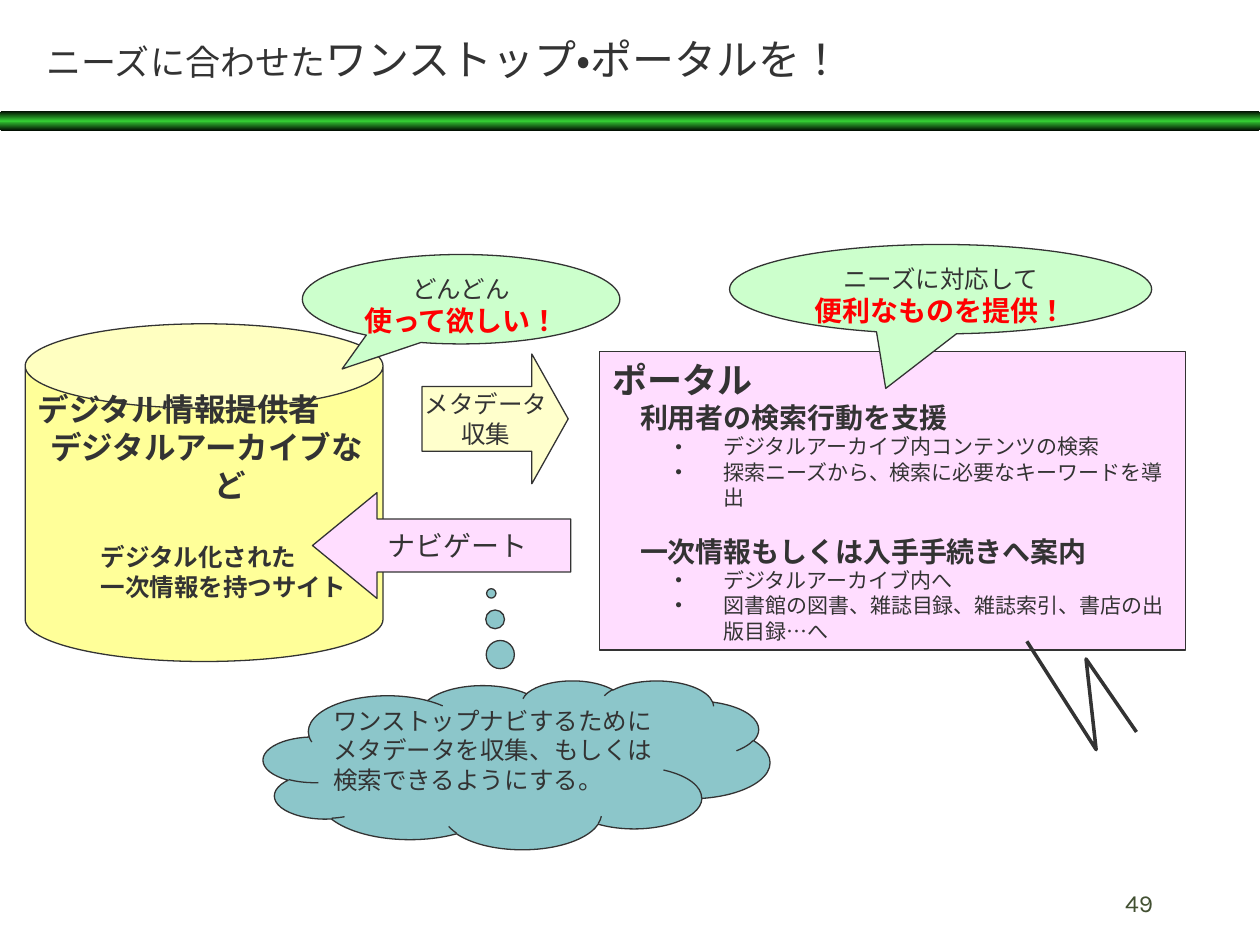
"""Build the one-stop portal slide: information provider, portal and the flows between them."""
from copy import deepcopy
from dataclasses import dataclass

from lxml.etree import SubElement
from pptx import Presentation
from pptx.dml.color import RGBColor
from pptx.enum.lang import MSO_LANGUAGE_ID as Lang
from pptx.enum.shapes import MSO_SHAPE as Preset
from pptx.enum.text import MSO_ANCHOR as Anchor, MSO_AUTO_SIZE as AutoSize, PP_ALIGN as Align
from pptx.oxml.ns import qn
from pptx.util import Inches, Pt


@dataclass(frozen=True)
class Theme:
    ink: str = "333333"
    number: str = "425032"
    alert: str = "FF0000"
    provider: str = "FFFF99"
    portal: str = "FFDDFF"
    collect: str = "FFFFCC"
    cloud: str = "8CC6CA"
    voice: str = "CCFFCC"
    bar_edge: str = "000800"
    bar_core: str = "33CC33"
    title_font: str = "Karla"
    body_font: str = "Arial"
    title: int = 24
    head: int = 20
    provider_head: int = 18
    strong: int = 16
    text: int = 14
    item: int = 12
    outline: float = 0.75
    zigzag: float = 2


THEME = Theme()


@dataclass(frozen=True)
class Run:
    text: str
    size: int = THEME.text
    bold: bool = False
    color: str = THEME.ink
    font: str = THEME.body_font


@dataclass(frozen=True)
class Para:
    runs: tuple[Run, ...]
    align: Align = Align.LEFT
    left: float = 0
    first: float = 0
    before: float = 0
    bullet: bool = False


@dataclass(frozen=True)
class Box:
    left: float
    top: float
    width: float
    height: float

    def emu(self) -> tuple[int, ...]:
        return tuple(Inches(v) for v in (self.left, self.top, self.width, self.height))


@dataclass(frozen=True)
class Figure:
    preset: Preset
    box: Box
    fill: str
    adjust: tuple[float, ...]
    paras: tuple[Para, ...] = ()
    anchor: Anchor = Anchor.MIDDLE
    wrap: bool = True
    inset: bool = True


def set_bullet(paragraph, shown: bool) -> None:
    """Give the paragraph a round bullet, or none."""
    props = paragraph._p.get_or_add_pPr()
    if not shown:
        SubElement(props, qn("a:buNone"))
        return
    SubElement(SubElement(props, qn("a:buClr")), qn("a:srgbClr"), val=THEME.ink)
    SubElement(props, qn("a:buSzPct"), val="90000")
    SubElement(props, qn("a:buChar"), char="•")


def write(frame, paras: tuple[Para, ...], anchor: Anchor, wrap: bool = True, inset: bool = True) -> None:
    """Fill a text frame with formatted paragraphs."""
    frame.auto_size, frame.word_wrap, frame.vertical_anchor = AutoSize.NONE, wrap, anchor
    frame.margin_left = frame.margin_right = Inches(0.1 if inset else 0)
    frame.margin_top = frame.margin_bottom = Inches(0.05 if inset else 0)
    for index, para in enumerate(paras):
        paragraph = frame.add_paragraph() if index else frame.paragraphs[0]
        paragraph.alignment = para.align
        paragraph.space_before = Pt(para.before)
        props = paragraph._p.get_or_add_pPr()
        props.set("marL", str(Inches(para.left)))
        props.set("indent", str(Inches(para.first)))
        set_bullet(paragraph, para.bullet)
        for part in para.runs:
            run = paragraph.add_run()
            run.text = part.text
            font = run.font
            font.name, font.size, font.bold = part.font, Pt(part.size), part.bold
            font.color.rgb = RGBColor.from_string(part.color)
            font.language_id = Lang.JAPANESE


def paint(shape, fill: str) -> None:
    """Give a shape its flat fill and thin outline."""
    shape.fill.solid()
    shape.fill.fore_color.rgb = RGBColor.from_string(fill)
    shape.line.color.rgb = RGBColor.from_string(THEME.ink)
    shape.line.width = Pt(THEME.outline)


def draw_figure(slide, figure: Figure) -> None:
    """Draw one outlined preset shape with its text."""
    shape = slide.shapes.add_shape(figure.preset, *figure.box.emu())
    shape.shadow.inherit = False
    for index, value in enumerate(figure.adjust):
        shape.adjustments[index] = value
    paint(shape, figure.fill)
    if figure.paras:
        write(shape.text_frame, figure.paras, figure.anchor, figure.wrap, figure.inset)


def draw_bar(slide) -> None:
    """Draw the gradient bar below the title."""
    bar = slide.shapes.add_shape(Preset.ROUNDED_RECTANGLE, *Box(0, 0.88, 10, 0.16).emu())
    bar.shadow.inherit = False
    bar.adjustments[0] = 0.16
    bar.line.fill.background()
    bar.fill.gradient()
    bar.fill.gradient_angle = 90
    stop_list = bar._element.spPr.find(qn("a:gradFill")).find(qn("a:gsLst"))
    stop_list.append(deepcopy(stop_list[0]))
    colors = (THEME.bar_edge, THEME.bar_core, THEME.bar_edge)
    for index, (stop, color) in enumerate(zip(bar.fill.gradient_stops, colors)):
        stop.position = index / 2
        stop.color.rgb = RGBColor.from_string(color)


def draw_zigzag(slide, points: tuple[tuple[float, float], ...]) -> None:
    """Draw the open zigzag line."""
    start, *rest = [(Inches(x), Inches(y)) for x, y in points]
    builder = slide.shapes.build_freeform(*start)
    builder.add_line_segments(rest, close=False)
    zigzag = builder.convert_to_shape()
    zigzag.shadow.inherit = False
    zigzag.fill.background()
    zigzag.line.color.rgb = RGBColor.from_string(THEME.ink)
    zigzag.line.width = Pt(THEME.zigzag)


def place(placeholder, box: Box) -> None:
    """Move a placeholder."""
    placeholder.left, placeholder.top, placeholder.width, placeholder.height = box.emu()


def draw_text(slide, box: Box, paras: tuple[Para, ...], anchor: Anchor) -> None:
    """Add a text box."""
    write(slide.shapes.add_textbox(*box.emu()).text_frame, paras, anchor)


def centred(text: str, size: int = THEME.text, **style) -> Para:
    """Return a centred one-run paragraph."""
    return Para((Run(text, size, **style),), Align.CENTER)


def heading(text: str, before: float = 0) -> Para:
    """Return a portal subheading."""
    return Para((Run(text, THEME.strong, True),), left=0.22, before=before)


def item(text: str) -> Para:
    """Return a bulleted portal item."""
    return Para((Run(text, THEME.item),), left=0.88, first=-0.38, bullet=True)


def voice(box: Box, adjust: tuple[float, float], lead: str, wish: str) -> Figure:
    """Return a speech balloon with a highlighted wish."""
    paras = (centred(lead), centred(wish, THEME.strong, bold=True, color=THEME.alert))
    return Figure(Preset.OVAL_CALLOUT, box, THEME.voice, adjust, paras, Anchor.TOP)


TITLE = (Para((Run("ニーズに合わせた", THEME.head, font=THEME.title_font),
               Run("ワンストップ・ポータルを！", THEME.title, font=THEME.title_font))),)
NUMBER = (Para((Run("49", color=THEME.number, font=THEME.title_font),), Align.RIGHT),)
PROVIDER = (
    Para((Run("デジタル情報提供者", THEME.provider_head, True),), left=0.38, first=-0.38),
    Para((Run("デジタルアーカイブなど", THEME.provider_head, True),), Align.CENTER, 0.38, -0.38),
    Para((Run("デジタル化された", bold=True),), left=0.88, first=-0.38, before=22),
    Para((Run("一次情報を持つサイト", bold=True),), left=0.88, first=-0.38),
)
PORTAL = (
    Para((Run("ポータル", THEME.head, True),)),
    heading("利用者の検索行動を支援"),
    item("デジタルアーカイブ内コンテンツの検索"),
    item("探索ニーズから、検索に必要なキーワードを導出"),
    heading("一次情報もしくは入手手続きへ案内", before=14),
    item("デジタルアーカイブ内へ"),
    item("図書館の図書、雑誌目録、雑誌索引、書店の出版目録…へ"),
)
CAN = Figure(Preset.CAN, Box(0.2, 2.57, 2.84, 2.68), THEME.provider, (0.25,))
FLOWS = (
    Figure(Preset.RIGHT_ARROW, Box(3.35, 2.81, 1.16, 1.03), THEME.collect, (0.5, 0.28),
           (centred("メタデータ"), centred("収集")), wrap=False),
    Figure(Preset.LEFT_ARROW, Box(2.48, 3.91, 2.05, 0.84), THEME.portal, (0.5, 0.61),
           (centred("ナビゲート", THEME.strong),), wrap=False),
    Figure(Preset.CLOUD_CALLOUT, Box(2.09, 5.4, 4.02, 1.34), THEME.cloud, (-0.05, -1.015),
           (Para((Run("ワンストップナビするためにメタデータを収集、もしくは検索できるようにする。"),)),),
           Anchor.TOP, inset=False),
    voice(Box(5.79, 1.94, 3.35, 0.71), (-0.13, 1.11), "ニーズに対応して", "便利なものを提供！"),
    voice(Box(2.4, 2.02, 2.52, 0.71), (-0.375, 0.78), "どんどん", "使って欲しい！"),
)


def main() -> None:
    """Build and save the slide."""
    deck = Presentation()
    deck.slide_width, deck.slide_height = Inches(10), Inches(7.5)
    slide = deck.slides.add_slide(deck.slide_layouts[1])
    title, portal = slide.shapes.title, slide.placeholders[1]
    place(title, Box(0.27, 0.13, 9, 0.67))
    write(title.text_frame, TITLE, Anchor.MIDDLE)
    place(portal, Box(4.76, 2.79, 4.65, 2.37))
    paint(portal, THEME.portal)
    write(portal.text_frame, PORTAL, Anchor.MIDDLE)
    draw_bar(slide)
    draw_text(slide, Box(7.17, 6.83, 2.08, 0.5), NUMBER, Anchor.BOTTOM)
    draw_figure(slide, CAN)
    draw_text(slide, Box(0.2, 3.05, 2.88, 1.77), PROVIDER, Anchor.MIDDLE)
    for figure in FLOWS:
        draw_figure(slide, figure)
    draw_zigzag(slide, ((8.15, 5.09), (8.7, 5.95), (8.62, 5.23), (9.02, 5.81)))
    deck.save("out.pptx")


if __name__ == "__main__":
    main()
